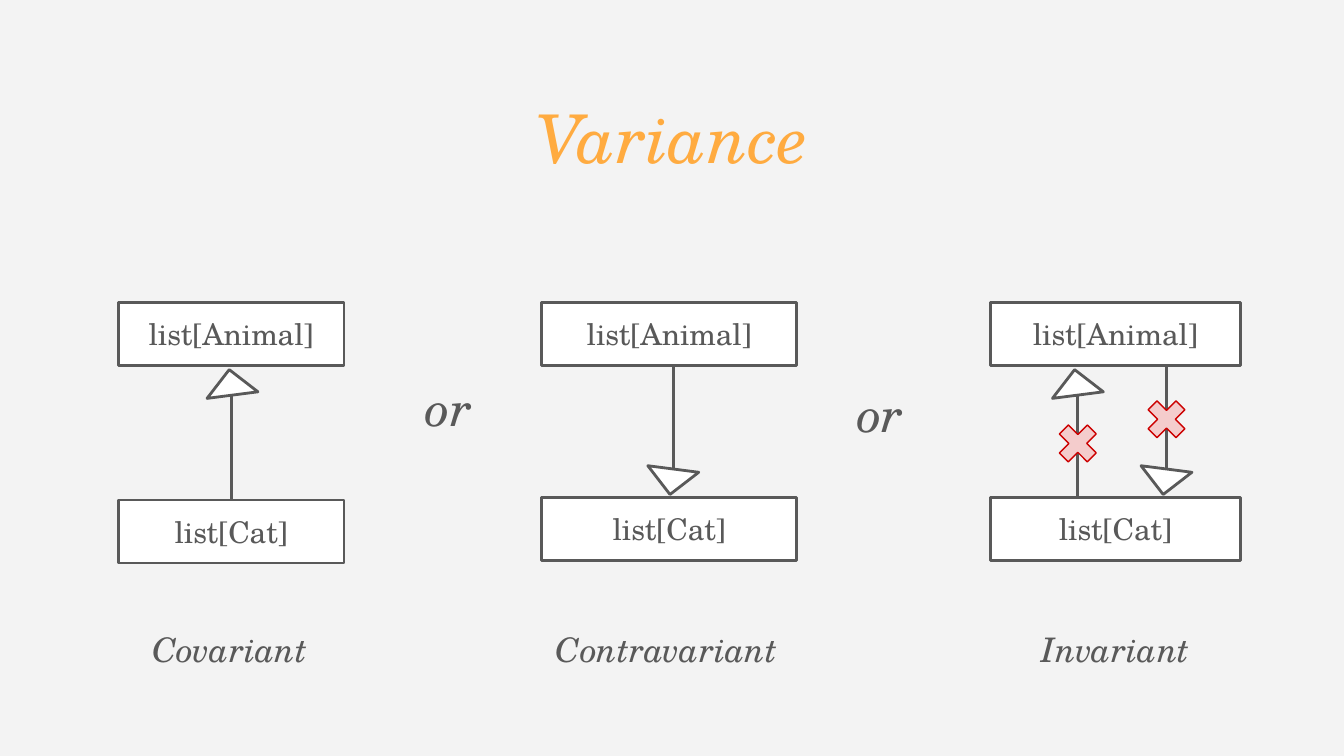
"""Build a slide that sets covariant, contravariant and invariant lists side by side."""
from lxml.etree import SubElement
from pptx import Presentation
from pptx.dml.color import RGBColor
from pptx.enum.shapes import MSO_CONNECTOR as Link, MSO_SHAPE as Kind
from pptx.enum.text import MSO_ANCHOR as Anchor, PP_ALIGN as Align
from pptx.oxml.ns import qn
from pptx.util import Inches, Pt

WIDE = 10
HIGH = WIDE * 9 / 16
FONT = "TeX Gyre Schola"
HUES = {"back": "F3F3F3", "title": "FFAB40", "ink": "595959",
        "box": "FFFFFF", "cross": "F4CCCC", "red": "CC0000"}

TITLE = "Variance"
TYPES = ("list[Animal]", "list[Cat]")
CASES = [
    {"name": "Covariant", "tag": 1.71, "mid": 1.72, "wide": 1.68, "low": 3.72,
     "arrows": [(1.73, "up", None)]},
    {"name": "Contravariant", "tag": 4.96, "mid": 4.98, "wide": 1.9, "low": 3.7,
     "arrows": [(5.01, "down", None)]},
    {"name": "Invariant", "tag": 8.3, "mid": 8.3, "wide": 1.86, "low": 3.7,
     "arrows": [(8.02, "up", 3.3), (8.68, "down", 3.12)]},
]
ORS = [(3.34, 3.03), (6.55, 3.07)]

TOP, TALL, HEAD, CROSS = 2.25, 0.47, 0.27, 0.4
NAME_Y, NAME_W, NAME_H = 4.83, 2, 0.54


def hue(key):
    return RGBColor.from_string(HUES[key])


def spot(x, y, w, h):
    return [Inches(v) for v in (x - w / 2, y - h / 2, w, h)]


def write(shape, text, size, key="ink", slant=False):
    frame = shape.text_frame
    frame.word_wrap = True
    frame.vertical_anchor = Anchor.MIDDLE
    frame.margin_left = frame.margin_right = Inches(0.1)
    frame.margin_top = frame.margin_bottom = Inches(0.1)
    para = frame.paragraphs[0]
    para.text, para.alignment = text, Align.CENTER
    font = para.font
    font.name, font.size, font.italic = FONT, Pt(size), slant
    font.color.rgb = hue(key)


def label(slide, text, place, size, key="ink"):
    write(slide.shapes.add_textbox(*spot(*place)), text, size, key, True)


def draw(slide, kind, place, fill="box", line="ink", width=1.5):
    shape = slide.shapes.add_shape(kind, *spot(*place))
    shape.shadow.inherit = False
    shape.fill.solid()
    shape.fill.fore_color.rgb = hue(fill)
    shape.line.color.rgb = hue(line)
    shape.line.width = Pt(width)
    return shape


def arrow(slide, x, way, case, low_box):
    up = way == "up"
    start, end = (TOP + TALL + 0.1, case["low"]) if up else (case["low"] - 0.1, TOP + TALL)
    stem = slide.shapes.add_connector(
        Link.STRAIGHT, *[Inches(v) for v in (x, start, x, end)])
    stem.line.color.rgb = hue("ink")
    stem.line.width = Pt(1.5)
    SubElement(stem._element.spPr, qn("a:effectLst"))
    if up and abs(x - case["mid"]) < 0.02:
        stem.end_connect(low_box, 0)
        stem.begin_x = stem.end_x
    y = 2.94 if up else 3.49
    head = draw(slide, Kind.RIGHT_TRIANGLE, (x, y, HEAD, HEAD))
    head.rotation = 127.6 if up else 52.4
    if not up:
        head._element.spPr.find(qn("a:xfrm")).set("flipH", "1")


def column(slide, case):
    mid, wide = case["mid"], case["wide"]
    for text, y in zip(TYPES, (TOP, case["low"])):
        box = draw(slide, Kind.RECTANGLE, (mid, y + TALL / 2, wide, TALL))
        write(box, text, 16)
    for x, way, _ in case["arrows"]:
        arrow(slide, x, way, case, box)
    for x, _, y in case["arrows"]:
        if y:
            mark = draw(slide, Kind.MATH_MULTIPLY, (x, y, CROSS, CROSS), "cross", "red", 0.75)
            mark.adjustments[0] = 0.235
    label(slide, case["name"], (case["tag"], NAME_Y, NAME_W, NAME_H), 18.1)


def main():
    deck = Presentation()
    deck.slide_width, deck.slide_height = Inches(WIDE), Inches(HIGH)
    slide = deck.slides.add_slide(deck.slide_layouts[6])
    slide.background.fill.solid()
    slide.background.fill.fore_color.rgb = hue("back")
    label(slide, TITLE, (WIDE / 2, 1.02, 9.32, 0.85), 36, "title")
    for case in CASES:
        column(slide, case)
    for x, y in ORS:
        label(slide, "or", (x, y, 0.73, 0.54), 26.1)
    deck.save("out.pptx")


if __name__ == "__main__":
    main()
